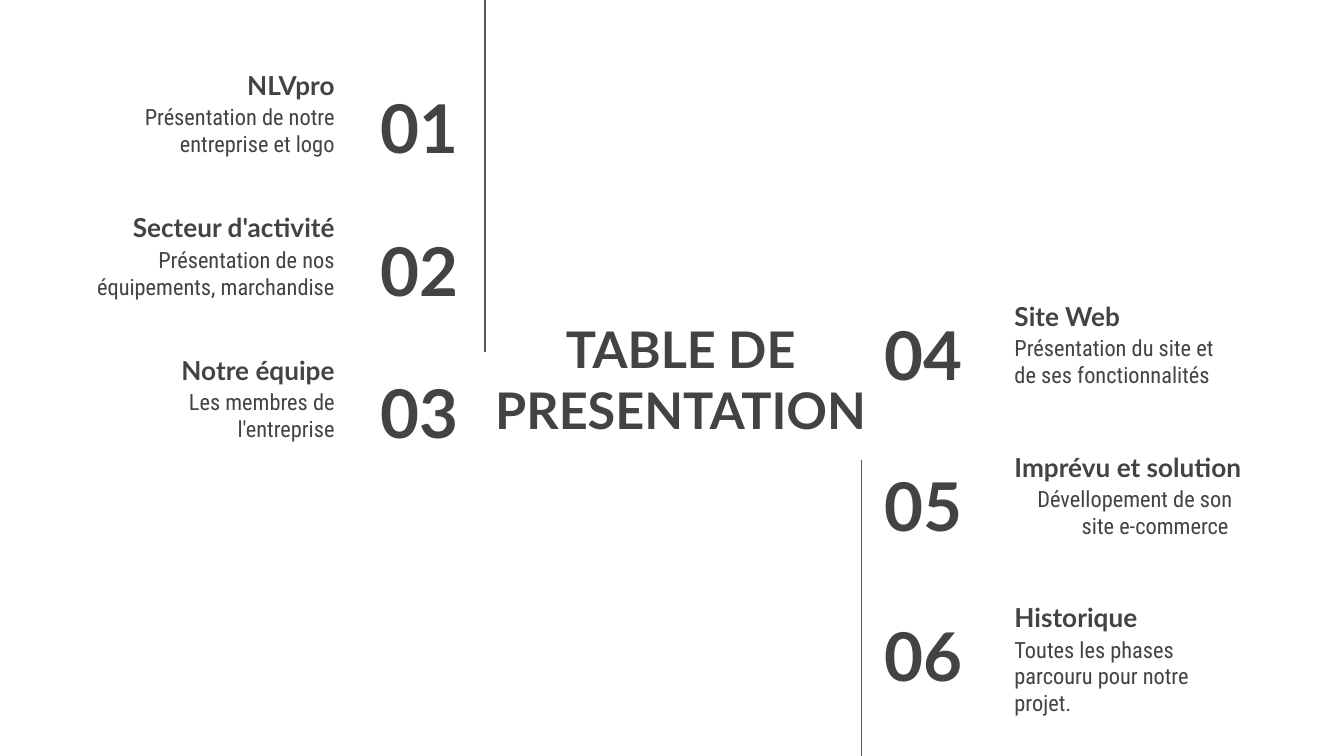
from lxml import etree
from pptx import Presentation
from pptx.dml.color import RGBColor
from pptx.enum.shapes import MSO_CONNECTOR
from pptx.enum.text import MSO_ANCHOR, MSO_AUTO_SIZE, PP_ALIGN
from pptx.oxml.ns import qn
from pptx.util import Inches, Pt

TEXT_COLOR = RGBColor(0x43, 0x43, 0x43)
RULE_COLOR = RGBColor(0x59, 0x59, 0x59)
HEADING_FONT = "Lato"
BODY_FONT = "Roboto Condensed"

HEADING_WIDTH = 2.16
ROW_HEIGHT = 0.63

# Number, heading, description, width of the description
LEFT_ENTRIES = [
    ("01", "NLVpro", "Présentation de notre entreprise et logo", 1.83),
    ("02", "Secteur d'activité", "Présentation de nos équipements, marchandise", 1.97),
    ("03", "Notre équipe", "Les membres de l'entreprise", 1.83),
]
RIGHT_ENTRIES = [
    ("04", "Site Web", "Présentation du site et de ses fonctionnalités", 1.83),
    ("05", "Imprévu et solution", "Dévellopement de son site e-commerce", 1.99),
    ("06", "Historique", "Toutes les phases parcouru pour notre projet.", 1.83),
]


def format_text(shape, text, size, align, anchor, font_name=HEADING_FONT, bold=True):
    frame = shape.text_frame
    frame.text = text
    frame.word_wrap = True
    frame.auto_size = MSO_AUTO_SIZE.NONE
    frame.vertical_anchor = anchor
    frame.margin_left = frame.margin_right = Inches(0.1)
    frame.margin_top = frame.margin_bottom = Inches(0.1)
    paragraph = frame.paragraphs[0]
    paragraph.alignment = align
    paragraph.line_spacing = 1.0
    font = paragraph.runs[0].font
    font.name = font_name
    font.size = Pt(size)
    font.bold = bold
    font.color.rgb = TEXT_COLOR
    return paragraph


def add_text(slide, left, top, width, *text_format):
    box = slide.shapes.add_textbox(
        Inches(left), Inches(top), Inches(width), Inches(ROW_HEIGHT))
    return format_text(box, *text_format)


def add_title(slide, left, top, width, height):
    title = slide.shapes.title
    title.left, title.top = Inches(left), Inches(top)
    title.width, title.height = Inches(width), Inches(height)
    format_text(title, "TABLE DE PRESENTATION", 27, PP_ALIGN.CENTER, MSO_ANCHOR.MIDDLE)


def add_entries(slide, entries, left, top, pitch, number_left, number_drop,
                number_width, align):
    """Stack entries; left and top belong to the first heading."""
    for row, (number, heading, description, width) in enumerate(entries):
        row_top = top + row * pitch
        description_left = left
        if align == PP_ALIGN.RIGHT:
            description_left += HEADING_WIDTH - width

        add_text(slide, left, row_top, HEADING_WIDTH,
                 heading, 14, align, MSO_ANCHOR.BOTTOM)
        paragraph = add_text(slide, description_left, row_top + 0.45, width,
                             description, 12, align, MSO_ANCHOR.TOP, BODY_FONT, False)
        add_text(slide, number_left, row_top + number_drop, number_width,
                 number, 36, align, MSO_ANCHOR.MIDDLE)

        # Entry 05 has a hanging indent
        if number == "05":
            properties = paragraph._p.get_or_add_pPr()
            properties.set("marL", str(Inches(0.5)))
            properties.set("indent", str(Inches(-0.33)))


def add_rule(slide, x, top, bottom):
    rule = slide.shapes.add_connector(
        MSO_CONNECTOR.STRAIGHT, Inches(x), Inches(top), Inches(x), Inches(bottom))
    rule.line.color.rgb = RULE_COLOR
    rule.line.width = Pt(0.75)
    etree.SubElement(rule._element.spPr, qn("a:effectLst"))


def main():
    presentation = Presentation()
    presentation.slide_width = Inches(10)
    presentation.slide_height = presentation.slide_width * 9 // 16
    slide = presentation.slides.add_slide(presentation.slide_layouts[5])

    add_title(slide, 3.56, 2.31, 3.01, 1.02)
    add_entries(slide, LEFT_ENTRIES, 0.43, 0.22, 1.06, 2.3, 0.41, 1.21, PP_ALIGN.RIGHT)
    add_entries(slide, RIGHT_ENTRIES, 7.45, 1.94, 1.12, 6.48, 0.38, 1.17, PP_ALIGN.LEFT)

    # Vertical rules beside the two columns
    add_rule(slide, 3.61, 0, 2.62)
    add_rule(slide, 6.41, 3.42, presentation.slide_height.inches)

    presentation.save("out.pptx")


if __name__ == "__main__":
    main()
